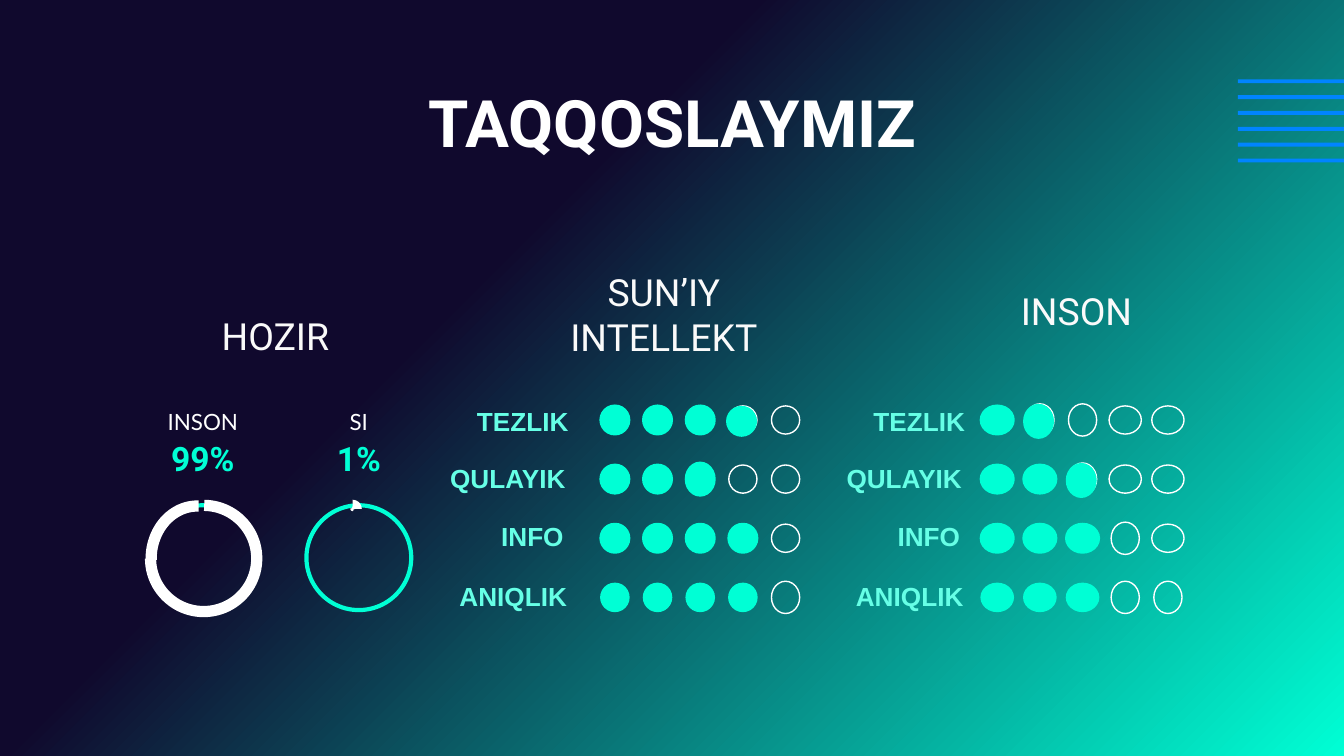
"""Build a slide that compares human and machine skill with rings and dot scores."""
import copy
from dataclasses import dataclass

import pptx
import pptx.dml.color
import pptx.enum.shapes
import pptx.enum.text
import pptx.util

Inches = pptx.util.Inches
Pt = pptx.util.Pt
Shape = pptx.enum.shapes.MSO_SHAPE
Align = pptx.enum.text.PP_ALIGN
Anchor = pptx.enum.text.MSO_ANCHOR

COLORS = {
    "night": "10092D",
    "mint": "00FFD5",
    "pale": "66FFE6",
    "white": "FFFFFF",
    "soft": "FAFAFA",
    "blue": "0084FF",
}


@dataclass(frozen=True)
class Label:
    text: str
    left: float
    top: float
    width: float


@dataclass(frozen=True)
class Score:
    full: int
    tall: tuple[int, ...] = ()
    rim: int = -1


@dataclass(frozen=True)
class Panel:
    shift: float
    left: float
    width: float
    scores: tuple[Score, ...]


@dataclass(frozen=True)
class Ring:
    name: str
    value: str
    left: float


@dataclass(frozen=True)
class Arc:
    left: float
    top: float
    width: float
    height: float
    turn: int
    start: float
    end: float
    flip: bool = False


HEADS = (
    (Label("HOZIR", 1.03, 2.3, 2.04), 0.39),
    (Label("SUN’IY INTELLEKT", 3.92, 2.14, 2.04), 0.39),
    (Label("INSON", 6.99, 2.09, 2.04), 0.44),
)
LABELS = (
    Label("TEZLIK", 3.45, 2.97, 0.88),
    Label("QULAYIK", 3.25, 3.39, 1.09),
    Label("INFO", 3.63, 3.82, 0.71),
    Label("ANIQLIK", 3.32, 4.27, 1.04),
)
PANELS = (
    Panel(0, 4.47, 0.21,
          (Score(4, rim=3), Score(3, (2,)), Score(4), Score(4, (4,)))),
    Panel(2.95, 7.3, 0.24,
          (Score(2, (1, 2), rim=1), Score(3, (2,), rim=2), Score(3, (3,)), Score(3, (3, 4)))),
)
RINGS = (Ring("INSON", "99%", 1.11), Ring("SI", "1%", 2.27))
ARCS = (
    Arc(1.12, 3.76, 0.79, 0.79, 180, 54.36, 0),
    Arc(2.6, 3.76, 0.05, 0.05, 270, 215.27, 55.33),
    Arc(1.08, 3.81, 0.78, 0.69, 270, 215.27, 55.33, flip=True),
)


def tint(name: str) -> pptx.dml.color.RGBColor:
    return pptx.dml.color.RGBColor.from_string(COLORS[name])


def write(frame, text: str, *, size: float, font: str, color: str, bold: bool = False,
          align=Align.CENTER, anchor=Anchor.MIDDLE, pad: tuple[float, float] = (0, 0),
          wrap: bool = True) -> None:
    frame.word_wrap = wrap
    frame.vertical_anchor = anchor
    frame.margin_left = frame.margin_right = Inches(pad[0])
    frame.margin_top = frame.margin_bottom = Inches(pad[1])
    line = frame.paragraphs[0]
    line.alignment = align
    run = line.add_run()
    run.text = text
    run.font.size = Pt(size)
    run.font.name = font
    run.font.bold = bold
    run.font.color.rgb = tint(color)


def add_text(slide, label: Label, height: float, **style) -> None:
    box = slide.shapes.add_textbox(Inches(label.left), Inches(label.top),
                                   Inches(label.width), Inches(height))
    write(box.text_frame, label.text, **style)


def add_shape(slide, kind, left: float, top: float, width: float, height: float, *,
              fill: str = "", line: str = "", weight: float = 0.75, turn: int = 0):
    shape = slide.shapes.add_shape(kind, Inches(left), Inches(top),
                                   Inches(width), Inches(height))
    shape.shadow.inherit = False
    shape.rotation = turn
    if fill:
        shape.fill.solid()
        shape.fill.fore_color.rgb = tint(fill)
    else:
        shape.fill.background()
    if line:
        shape.line.color.rgb = tint(line)
        shape.line.width = Pt(weight)
    else:
        shape.line.fill.background()
    return shape


def paint_back(slide) -> None:
    fill = slide.background.fill
    fill.gradient()
    fill.gradient_angle = 315
    first = next(slide.element.iter("{*}gs"))
    first.addnext(copy.deepcopy(first))
    for stop, (place, color) in zip(fill.gradient_stops,
                                    ((0, "night"), (0.36, "night"), (1, "mint"))):
        stop.position = place
        stop.color.rgb = tint(color)


def draw_ring(slide, ring: Ring) -> None:
    add_shape(slide, Shape.OVAL, ring.left + 0.01, 3.76, 0.78, 0.78,
              line="mint", weight=2.25)
    add_text(slide, Label(ring.name, ring.left, 3.01, 0.8), 0.25,
             size=12, font="Lato", color="white")
    add_text(slide, Label(ring.value, ring.left, 3.25, 0.8), 0.31,
             size=18, font="Roboto", color="mint", bold=True)


def draw_arc(slide, arc: Arc) -> None:
    shape = add_shape(slide, Shape.ARC, arc.left, arc.top, arc.width, arc.height,
                      line="white", weight=6, turn=arc.turn)
    shape.adjustments[0] = arc.start
    shape.adjustments[1] = arc.end
    if arc.flip:
        shape.element.spPr.xfrm.set("flipV", "1")


def draw_dots(slide, panel: Panel, row: int, score: Score) -> None:
    top = 3.02 + 0.44 * row
    for col in range(5):
        tall = col in score.tall
        width = 0.24 if tall else panel.width
        left = panel.left + 1.27 * col / 4 - (width - panel.width) / 2
        turn = 270 if tall else 0
        rim = col == score.rim
        if rim or col >= score.full:
            add_shape(slide, Shape.OVAL, left, top, width, 0.21, line="white", turn=turn)
        if col < score.full:
            nudge = 0.01 if rim else 0
            add_shape(slide, Shape.OVAL, left - nudge, top + nudge, width, 0.21,
                      fill="mint", line="mint", weight=1.5 if row < 3 else 0.75, turn=turn)


def draw_panel(slide, panel: Panel) -> None:
    for row, (label, score) in enumerate(zip(LABELS, panel.scores)):
        place = Label(label.text, label.left + panel.shift, label.top, label.width)
        add_text(slide, place, 0.34, size=14, font="Arial", color="pale", bold=True,
                 align=Align.LEFT, anchor=Anchor.TOP, pad=(0.1, 0.05), wrap=False)
        draw_dots(slide, panel, row, score)


def main() -> None:
    deck = pptx.Presentation()
    deck.slide_width, deck.slide_height = Inches(10), Inches(10 * 9 / 16)
    slide = deck.slides.add_slide(deck.slide_layouts[5])
    paint_back(slide)
    for step in range(6):
        add_shape(slide, Shape.RECTANGLE, 9.21, 0.59 + 0.59 * step / 5, 0.79, 0.03,
                  fill="blue")
    title = slide.shapes.title
    title.left, title.top = Inches(0.79), Inches(0.59)
    title.width, title.height = Inches(8.43), Inches(0.63)
    write(title.text_frame, "TAQQOSLAYMIZ", size=35, font="Roboto", color="white",
          bold=True, pad=(0.1, 0.1))
    for label, height in HEADS:
        add_text(slide, label, height, size=20, font="Roboto", color="soft")
    for ring in RINGS:
        draw_ring(slide, ring)
    for arc in ARCS:
        draw_arc(slide, arc)
    for panel in PANELS:
        draw_panel(slide, panel)
    deck.save("out.pptx")


if __name__ == "__main__":
    main()
